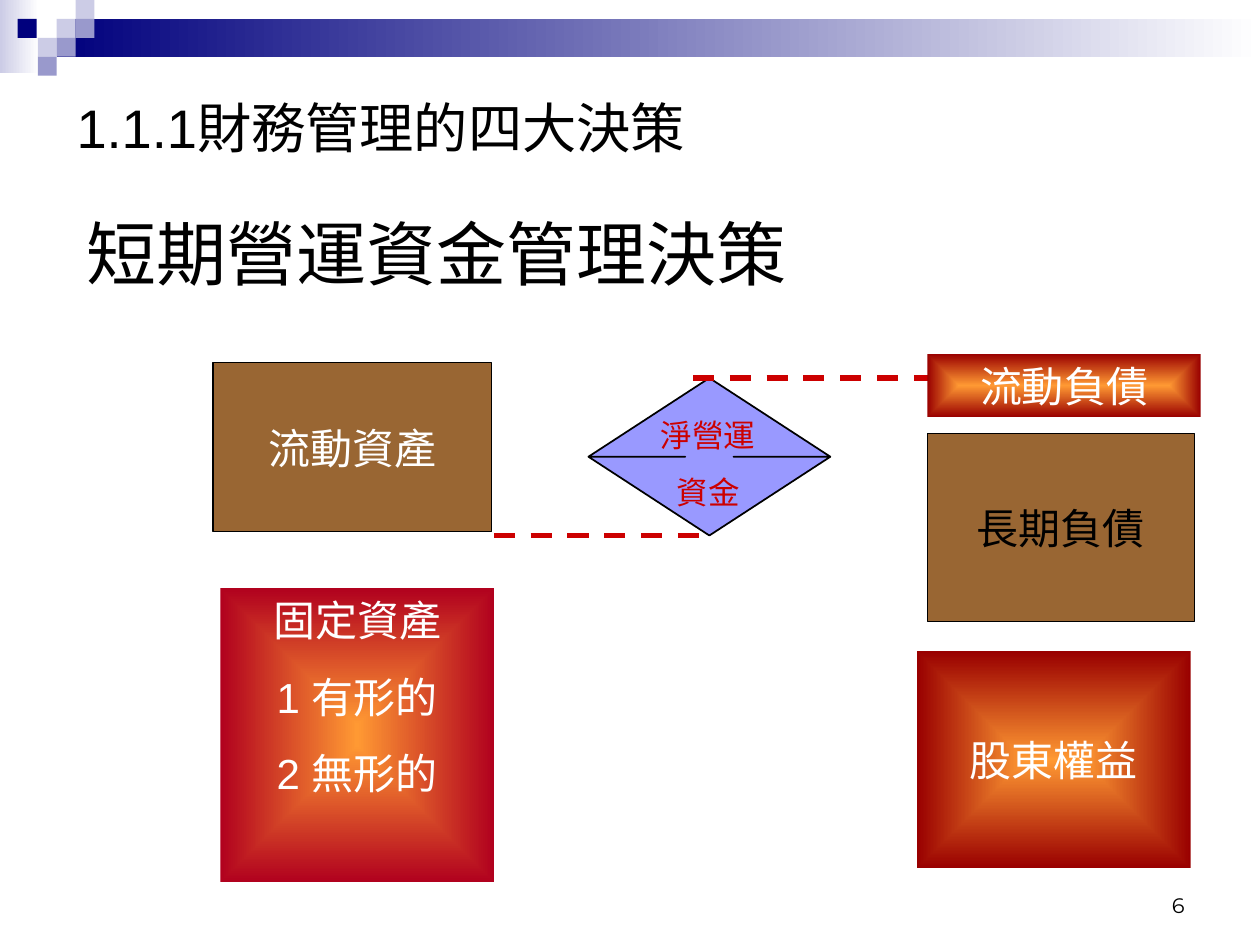
"""Build a slide on short-term working capital decisions."""
from lxml import etree
from pptx import Presentation, util as u
from pptx.dml.color import RGBColor
from pptx.enum import dml, shapes, text
from pptx.oxml.ns import qn

Inches, Pt, rgb = u.Inches, u.Pt, RGBColor.from_string
LEFT, CENTER, RIGHT = text.PP_ALIGN.LEFT, text.PP_ALIGN.CENTER, text.PP_ALIGN.RIGHT
TOP, MIDDLE, BOTTOM = text.MSO_ANCHOR.TOP, text.MSO_ANCHOR.MIDDLE, text.MSO_ANCHOR.BOTTOM


def write(holder, lines, size, font, color, align=CENTER, anchor=MIDDLE, gap=0, wrap=True):
    frame = holder.text_frame
    frame.text = "\n".join(lines)
    layout = {"word_wrap": wrap, "auto_size": text.MSO_AUTO_SIZE.NONE, "vertical_anchor": anchor}
    for name, value in layout.items():
        setattr(frame, name, value)
    for index, paragraph in enumerate(frame.paragraphs):
        paragraph.alignment = align
        paragraph.space_before = Pt(gap if index else 0)
        run_font = paragraph.runs[0].font
        for name, value in {"size": Pt(size), "name": font, "bold": False}.items():
            setattr(run_font, name, value)
        run_font.color.rgb = rgb(color)


def add_block(box, colors, outline=None, preset=shapes.MSO_SHAPE.RECTANGLE, radial=False):
    block = slide.shapes.add_shape(preset, *map(Inches, box))
    block.shadow.inherit = False
    if len(colors) == 1:
        block.fill.solid()
        block.fill.fore_color.rgb = rgb(colors[0])
    else:
        block.fill.gradient()
        block.fill.gradient_angle = 0
        for stop, color in zip(block.fill.gradient_stops, colors):
            stop.color.rgb = rgb(color)
    if radial:
        gradient = block._element.spPr.find(qn("a:gradFill"))
        gradient.remove(gradient.find(qn("a:lin")))
        center = etree.SubElement(gradient, qn("a:path"), {"path": "rect"})
        etree.SubElement(center, qn("a:fillToRect"), dict.fromkeys("ltrb", "50000"))
    if outline:
        block.line.color.rgb = rgb("000000")
        block.line.width = Pt(outline)
    else:
        block.line.fill.background()
    return block


deck = Presentation()
deck.slide_width, deck.slide_height = Inches(10), Inches(7.5)
slide = deck.slides.add_slide(deck.slide_layouts[5])

add_block((0, 0, 0.31, 0.58), ("CCCCE6", "FFFFFF"))
add_block((0.45, 0.15, 9.55, 0.3), ("00007D", "FFFFFF"))
tiles = {
    "CCCCE6": [(0.45, 0.15), (0.6, 0), (0.3, 0.3)],
    "9999CC": [(0.6, 0.15), (0.45, 0.3), (0.3, 0.45)],
    "00007D": [(0.14, 0.15)],
}
for color, corners in tiles.items():
    for left, top in corners:
        add_block((left, top, 0.15, 0.15), (color,))

heading = slide.shapes.title
for name, value in zip(("left", "top", "width", "height"), (0.59, 1.62, 9, 0.77)):
    setattr(heading, name, Inches(value))
write(heading, ["短期營運資金管理決策"], 40, "Arial", "000000", LEFT, BOTTOM)

arrow = add_block((4.67, 3, 1.92, 1.25), ("9999FF",), 1, shapes.MSO_SHAPE.UP_DOWN_ARROW)
arrow.adjustments[0], arrow.adjustments[1] = 0.5, 0.2

for start, end, level in [(5.5, 7.52, 3), (3.92, 5.56, 4.25)]:
    boundary = slide.shapes.add_connector(
        shapes.MSO_CONNECTOR.STRAIGHT, Inches(start), Inches(level), Inches(end), Inches(level))
    boundary.line.color.rgb = rgb("CC0000")
    boundary.line.width = Pt(3)
    boundary.line.dash_style = dml.MSO_LINE.DASH
    etree.SubElement(boundary._element.spPr, qn("a:effectLst"))

captions = [
    ((4.92, 3.25, 1.4, 0.86), ["淨營運", "資金"], 18, "Times New Roman", "CC0000", CENTER, TOP, 11.2),
    ((0.51, 0.68, 6.47, 0.65), ["1.1.1財務管理的四大決策"], 31, "Arial", "000000", LEFT, MIDDLE),
    ((7.17, 6.83, 2.33, 0.5), ["6"], 12, "Montserrat", "000000", RIGHT, BOTTOM),
]
for box, *content in captions:
    write(slide.shapes.add_textbox(*map(Inches, box)), *content)

glowing = [
    ((7.36, 2.81, 2.17, 0.5), "990000", ["流動負債"], "Times New Roman", MIDDLE),
    ((1.75, 4.67, 2.17, 2.33), "B1011E", ["固定資產", "1 有形的", "2 無形的"], "Arial", TOP),
    ((7.28, 5.17, 2.17, 1.72), "990000", ["股東權益"], "Times New Roman", MIDDLE),
]
for box, edge, lines, font, anchor in glowing:
    item = add_block(box, ("FF9933", edge), radial=True)
    write(item, lines, 24, font, "FFFFFF", anchor=anchor, gap=15)

brown = [
    ((1.69, 2.88, 2.21, 1.34), "流動資產", "FFFFFF"),
    ((7.36, 3.44, 2.12, 1.49), "長期負債", "000000"),
]
for box, label, color in brown:
    write(add_block(box, ("996633",), 0.75), [label], 24, "Arial", color, wrap=False)

deck.save("out.pptx")
